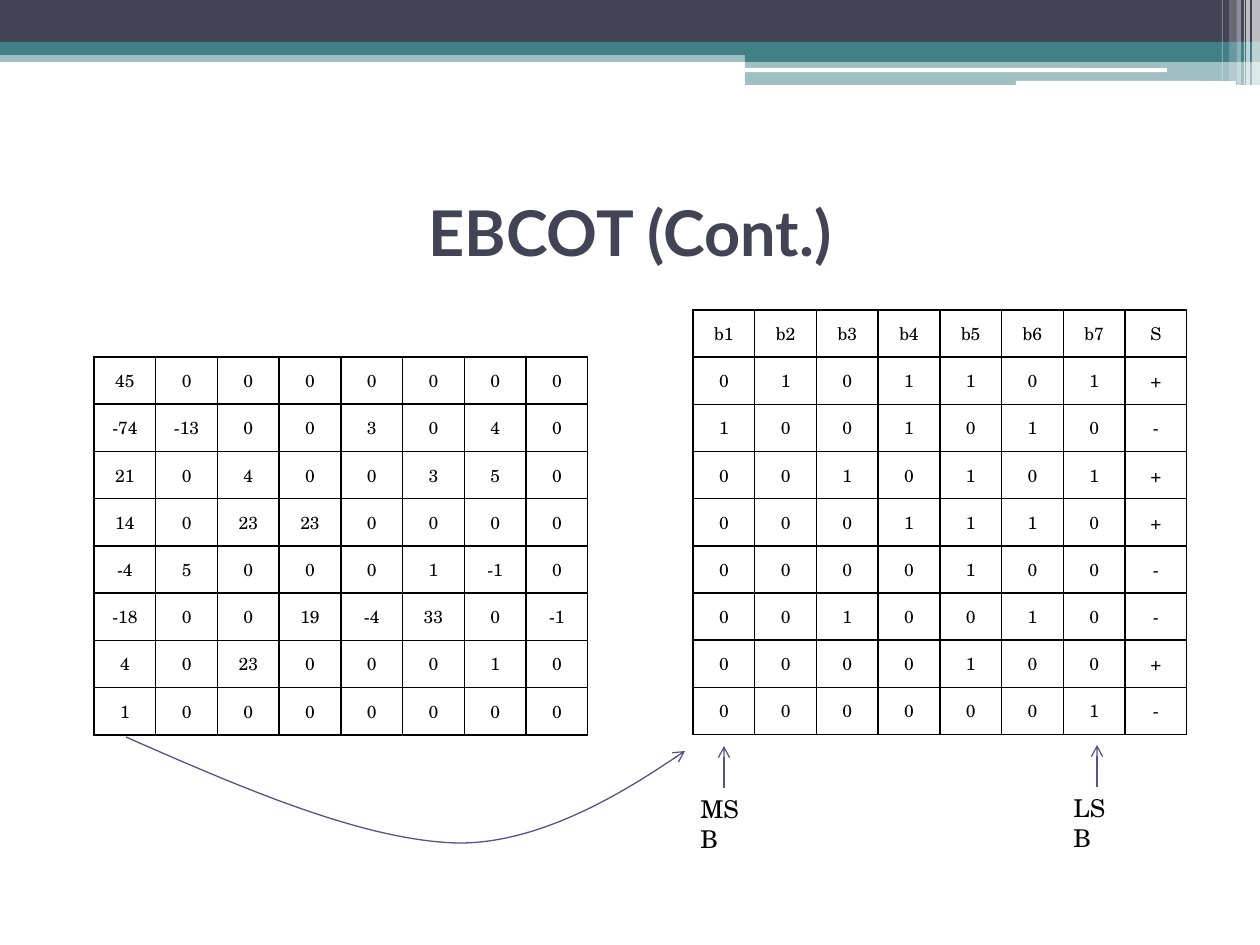
from dataclasses import dataclass
from typing import NamedTuple

from lxml.etree import SubElement
from pptx import Presentation
from pptx.dml.color import RGBColor
from pptx.enum.shapes import MSO_CONNECTOR, MSO_SHAPE
from pptx.enum.text import MSO_ANCHOR, PP_ALIGN
from pptx.oxml.ns import qn
from pptx.util import Emu, Pt

PX_PER_INCH = 126


@dataclass(frozen=True)
class Theme:
    navy: str = "424456"
    teal: str = "438086"
    white: str = "FFFFFF"
    ink: str = "000000"
    arrow: str = "53548A"
    heading_font: str = "Lato"
    body_font: str = "TeX Gyre Schola"
    heading_size: int = 36
    label_size: int = 14
    cell_size: int = 10
    arrow_width: float = 0.75
    border_width: float = 1


class Box(NamedTuple):
    left: int
    top: int
    width: int
    height: int


class Band(NamedTuple):
    box: Box
    color: str
    opacity: int = 100
    rounded: bool = False


class Grid(NamedTuple):
    box: Box
    rows: list[str]


class BitMarker(NamedTuple):
    text: str
    label: Box
    arrow_x: int
    arrow_tip: int


THEME = Theme()
BANDS = [
    Band(Box(0, 50, 1260, 12), THEME.teal, 50),
    Band(Box(0, 0, 1260, 43), THEME.navy),
    Band(Box(0, 42, 1260, 13), THEME.teal),
    Band(Box(745, 49, 515, 13), THEME.teal),
    Band(Box(745, 61, 515, 24), THEME.teal, 50),
    Band(Box(745, 68, 422, 4), THEME.white, rounded=True),
    Band(Box(1016, 81, 220, 5), THEME.white, rounded=True),
    Band(Box(1252, 0, 8, 86), THEME.white, 65),
    Band(Box(1246, 0, 4, 86), THEME.white, 65),
    Band(Box(1244, 0, 1, 86), THEME.white, 60),
    Band(Box(1237, 0, 4, 86), THEME.white, 40),
    Band(Box(1229, 0, 8, 81), THEME.white, 20),
    Band(Box(1222, 0, 1, 81), THEME.white, 30),
]
COEFFICIENTS = Grid(Box(94, 357, 494, 378), [
    "45 0 0 0 0 0 0 0",
    "-74 -13 0 0 3 0 4 0",
    "21 0 4 0 0 3 5 0",
    "14 0 23 23 0 0 0 0",
    "-4 5 0 0 0 1 -1 0",
    "-18 0 0 19 -4 33 0 -1",
    "4 0 23 0 0 0 1 0",
    "1 0 0 0 0 0 0 0",
])
BIT_PLANES = Grid(Box(693, 310, 494, 425), [
    "b1 b2 b3 b4 b5 b6 b7 S",
    "0 1 0 1 1 0 1 +",
    "1 0 0 1 0 1 0 -",
    "0 0 1 0 1 0 1 +",
    "0 0 0 1 1 1 0 +",
    "0 0 0 0 1 0 0 -",
    "0 0 1 0 0 1 0 -",
    "0 0 0 0 1 0 0 +",
    "0 0 0 0 0 0 1 -",
])
COLUMN_TO_BITS = [(126, 737), (244, 789), (363, 840), (456, 843),
                  (549, 845), (685, 751), (685, 751)]
MARKERS = [
    BitMarker("MSB", Box(688, 788, 78, 43), 724, 746),
    BitMarker("LSB", Box(1061, 787, 71, 43), 1097, 745),
]


def px(length: float) -> Emu:
    return Emu(round(length * 914400 / PX_PER_INCH))


def place(box: Box) -> tuple[Emu, ...]:
    return tuple(px(length) for length in box)


def style_text(paragraph, font: str, size: int, color: str, bold: bool = False) -> None:
    for run in paragraph.runs:
        run.font.name = font
        run.font.size = Pt(size)
        run.font.bold = bold
        run.font.color.rgb = RGBColor.from_string(color)


def style_arrow(shape) -> None:
    shape.line.color.rgb = RGBColor.from_string(THEME.arrow)
    shape.line.width = Pt(THEME.arrow_width)
    SubElement(shape.line._get_or_add_ln(), qn("a:tailEnd"), type="arrow")


def draw_band(slide, band: Band) -> None:
    preset = MSO_SHAPE.ROUNDED_RECTANGLE if band.rounded else MSO_SHAPE.RECTANGLE
    shape = slide.shapes.add_shape(preset, *place(band.box))
    shape.shadow.inherit = False
    shape.line.fill.background()
    shape.fill.solid()
    shape.fill.fore_color.rgb = RGBColor.from_string(band.color)
    if band.opacity < 100:
        color = shape.fill._xPr.find(".//" + qn("a:srgbClr"))
        SubElement(color, qn("a:alpha"), val=str(band.opacity * 1000))


def draw_title(slide, text: str) -> None:
    title = slide.shapes.title
    title.left, title.top, title.width, title.height = place(Box(63, 158, 1134, 147))
    title.text_frame.text = text
    title.text_frame.vertical_anchor = MSO_ANCHOR.MIDDLE
    heading = title.text_frame.paragraphs[0]
    heading.alignment = PP_ALIGN.CENTER
    style_text(heading, THEME.heading_font, THEME.heading_size, THEME.navy, bold=True)


def style_cell(cell, text: str) -> None:
    cell.margin_left = cell.margin_right = cell.margin_top = cell.margin_bottom = 0
    cell.vertical_anchor = MSO_ANCHOR.MIDDLE
    cell.text_frame.text = text
    value = cell.text_frame.paragraphs[0]
    value.alignment = PP_ALIGN.CENTER
    style_text(value, THEME.body_font, THEME.cell_size, THEME.ink)
    properties = cell._tc.get_or_add_tcPr()
    for side in ("a:lnL", "a:lnR", "a:lnT", "a:lnB"):
        border = SubElement(properties, qn(side), w=str(Pt(THEME.border_width)))
        SubElement(SubElement(border, qn("a:solidFill")), qn("a:srgbClr"), val=THEME.ink)
    cell.fill.background()


def draw_grid(slide, grid: Grid) -> None:
    values = [row.split() for row in grid.rows]
    table = slide.shapes.add_table(len(values), len(values[0]), *place(grid.box)).table
    table.first_row = table.horz_banding = False
    for column in table.columns:
        column.width = px(grid.box.width / len(values[0]))
    for row, texts in zip(table.rows, values):
        row.height = px(grid.box.height / len(values))
        for cell, text in zip(row.cells, texts):
            style_cell(cell, text)


def draw_curve(slide, points: list[tuple[int, int]]) -> None:
    start, *controls = points
    builder = slide.shapes.build_freeform(*start, scale=914400 / PX_PER_INCH)
    builder.add_line_segments(controls, close=False)
    curve = builder.convert_to_shape()
    curve.shadow.inherit = False
    curve.fill.background()
    style_arrow(curve)
    outline = curve._element.find(".//" + qn("a:path"))
    segments = outline.findall(qn("a:lnTo"))
    for first in range(0, len(segments), 3):
        bezier = SubElement(outline, qn("a:cubicBezTo"))
        for segment in segments[first:first + 3]:
            bezier.append(segment[0])
            outline.remove(segment)


def draw_marker(slide, marker: BitMarker) -> None:
    label = slide.shapes.add_textbox(*place(marker.label)).text_frame
    label.word_wrap = True
    label.text = marker.text
    style_text(label.paragraphs[0], THEME.body_font, THEME.label_size, THEME.ink)
    x = px(marker.arrow_x)
    arrow = slide.shapes.add_connector(
        MSO_CONNECTOR.STRAIGHT, x, px(marker.label.top), x, px(marker.arrow_tip))
    style_arrow(arrow)
    SubElement(arrow._element.spPr, qn("a:effectLst"))


def main() -> None:
    presentation = Presentation()
    presentation.slide_width, presentation.slide_height = px(1260), px(945)
    slide = presentation.slides.add_slide(presentation.slide_layouts[5])
    for band in BANDS:
        draw_band(slide, band)
    draw_title(slide, "EBCOT (Cont.)")
    for grid in (COEFFICIENTS, BIT_PLANES):
        draw_grid(slide, grid)
    draw_curve(slide, COLUMN_TO_BITS)
    for marker in MARKERS:
        draw_marker(slide, marker)
    presentation.save("out.pptx")


if __name__ == "__main__":
    main()
